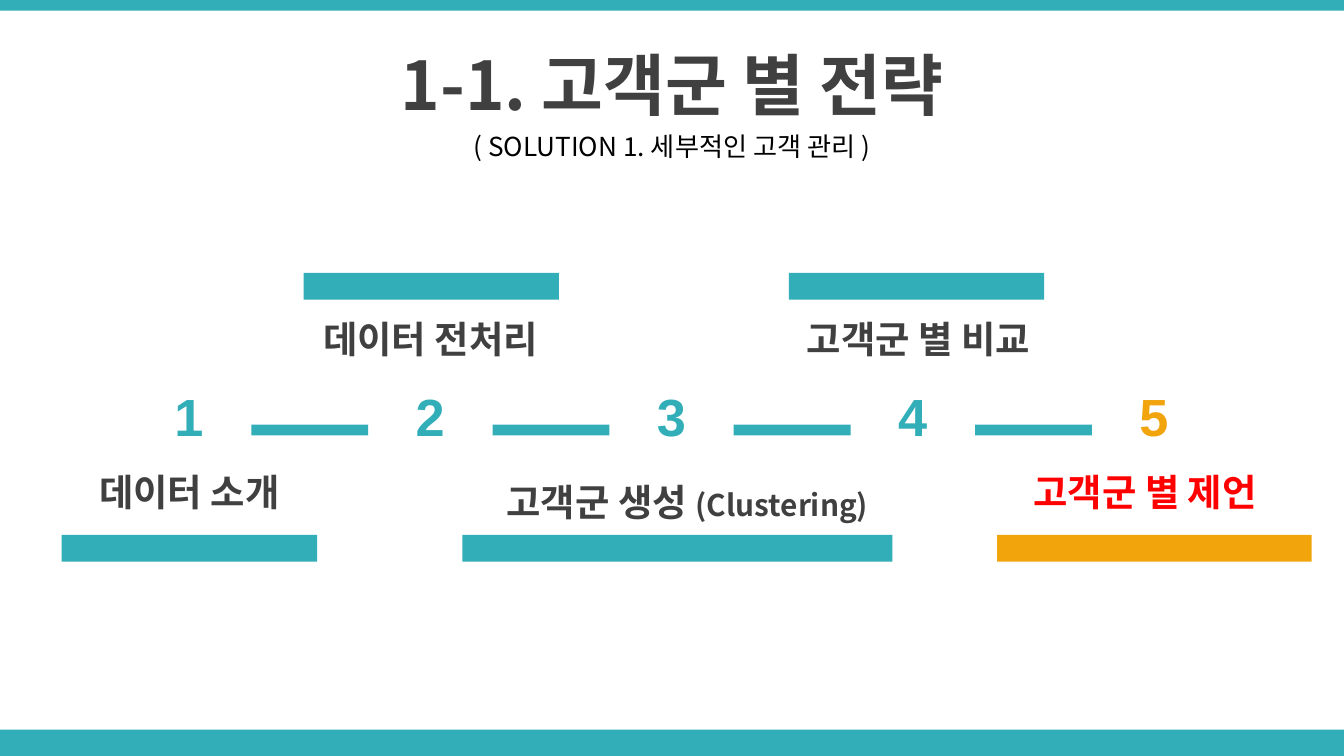
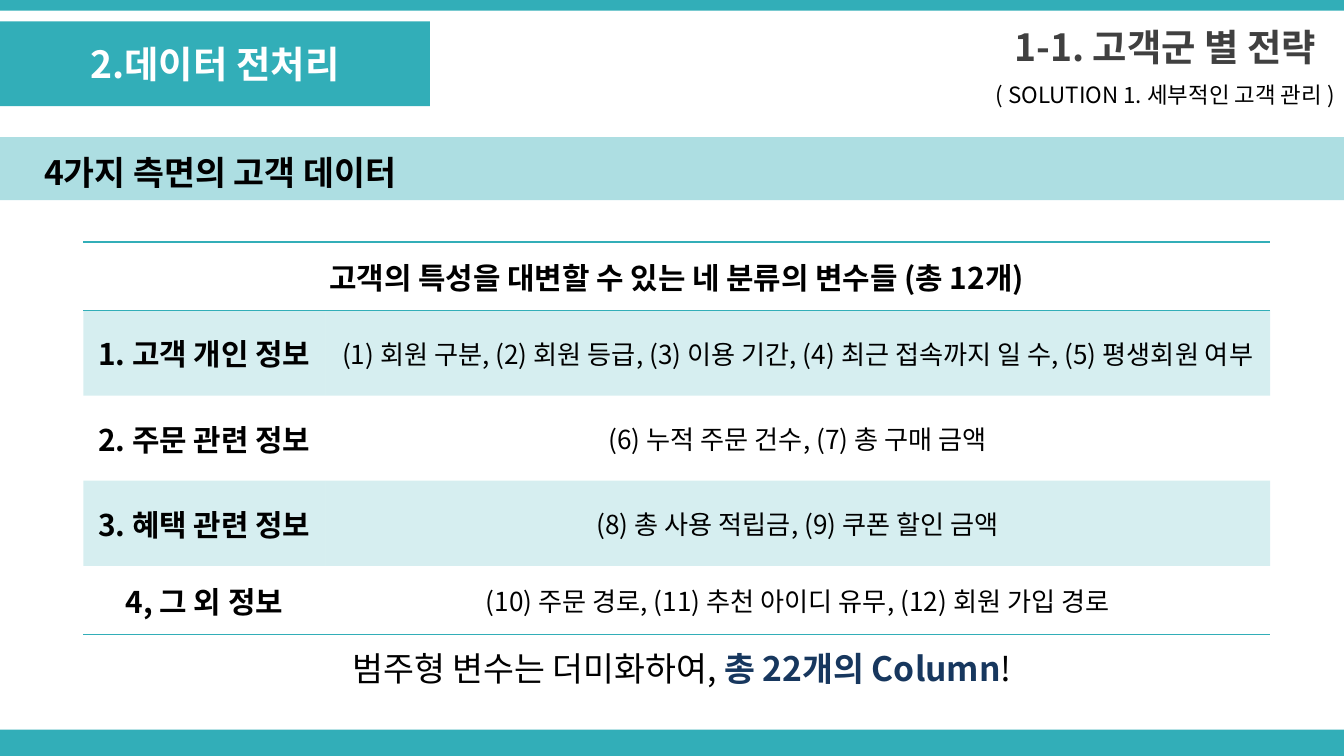
"""Builds two slides on customer group strategy: the step overview and the data variables."""
from lxml import etree
from pptx import Presentation, util as u
from pptx.dml.color import RGBColor
from pptx.enum import shapes, text
from pptx.oxml.ns import qn

HUES = dict(teal="32AEB8", gold="F2A40D", dark="404040", black="000000",
            white="FFFFFF", red="FF0000", navy="17375E")
KOREAN, LATIN = "Noto Sans CJK KR", "Arial"
WIDE = 10
HIGH = WIDE * 9 / 16
BARE = "{2D5ABB26-0587-4C30-8999-92F81FD0307C}"
MID, TOP = text.MSO_ANCHOR.MIDDLE, text.MSO_ANCHOR.TOP
LEFT, MIDST = text.PP_ALIGN.LEFT, text.PP_ALIGN.CENTER

TITLE = "1-1. 고객군 별 전략"
SUB = "( SOLUTION 1. 세부적인 고객 관리 )"

# label runs, label (left, top, width), bar (left, top, width), label hue, bar hue
STEPS = [
    (["데이터 소개"], (0.46, 3.44, 1.9), (0.46, 3.98, 1.9), "dark", "teal"),
    (["데이터 전처리"], (2.11, 2.3, 2.19), (2.26, 2.03, 1.9), "dark", "teal"),
    (["고객군 생성 ", ("(Clustering)", dict(size=16))],
     (3.2, 3.52, 3.83), (3.44, 3.98, 3.2), "dark", "teal"),
    (["고객군 별 비교"], (5.7, 2.3, 2.27), (5.87, 2.03, 1.9), "dark", "teal"),
    (["고객군 별 제언"], (7.27, 3.44, 2.5), (7.42, 3.98, 2.34), "red", "gold"),
]
PITCH = 1.795

PART = "2.데이터 전처리"
TOPIC = "4가지 측면의 고객 데이터"
HEAD = "고객의 특성을 대변할 수 있는 네 분류의 변수들 (총 12개)"
ROWS = [
    ("1. 고객 개인 정보",
     "(1) 회원 구분, (2) 회원 등급, (3) 이용 기간, (4) 최근 접속까지 일 수, (5) 평생회원 여부"),
    ("2. 주문 관련 정보", "(6) 누적 주문 건수, (7) 총 구매 금액"),
    ("3. 혜택 관련 정보", "(8) 총 사용 적립금, (9) 쿠폰 할인 금액"),
    ("4, 그 외 정보", "(10) 주문 경로, (11) 추천 아이디 유무, (12) 회원 가입 경로"),
]
COLS, TALLS = (1.8, 7.03), (0.51, 0.63, 0.51, 0.51, 0.51)
CLOSE = ["범주형 변수는 더미화하여, ",
         ("총 22개의 Column", dict(hue="navy", bold=True)), "!"]


def inch(*nums):
    """Turn numbers into inch lengths."""
    return [u.Inches(n) for n in nums]


def style(font, size=None, hue=None, bold=None, face=None):
    """Set the given traits on a font, without pair kerning."""
    if size:
        font.size = u.Pt(size)
    if bold is not None:
        font.bold = bold
    if hue:
        font.color.rgb = RGBColor.from_string(HUES[hue])
    if face:
        font.name = face
        font._rPr.set("kern", "0")
        etree.SubElement(font._rPr, qn("a:ea"), typeface=face)


def write(frame, runs, size, hue="black", bold=False, face=KOREAN, align=MIDST):
    """Fill a text frame with one paragraph of runs."""
    para = frame.paragraphs[0]
    para.alignment = align
    style(para.font, size, hue, bold, face)
    for part in [runs] if isinstance(runs, str) else runs:
        words, traits = (part, {}) if isinstance(part, str) else part
        run = para.add_run()
        run.text = words
        style(run.font, **traits)


def label(home, box, runs, size, anchor=TOP, **traits):
    """Add a text box; those anchored at the top grow with their text."""
    frame = home.add_textbox(*inch(*box)).text_frame
    frame.word_wrap = True
    frame.vertical_anchor = anchor
    frame.auto_size = (text.MSO_AUTO_SIZE.SHAPE_TO_FIT_TEXT if anchor == TOP
                       else text.MSO_AUTO_SIZE.NONE)
    write(frame, runs, size, **traits)


def paint(fill, node, hue, alpha=None):
    """Apply a solid fill, with alpha in percent if given."""
    fill.solid()
    fill.fore_color.rgb = RGBColor.from_string(HUES[hue])
    if alpha:
        tone = [*node.iter(qn("a:srgbClr"))][-1]
        etree.SubElement(tone, qn("a:alpha"), val=str(alpha * 1000))


def bar(home, box, hue="teal", alpha=None):
    """Add a plain filled rectangle."""
    rect = home.add_shape(shapes.MSO_SHAPE.RECTANGLE, *inch(*box))
    rect.shadow.inherit = False
    rect.line.fill.background()
    paint(rect.fill, rect.element.spPr, hue, alpha)
    return rect


def rule(cell, side):
    """Draw a thin border on one side of a cell."""
    line = etree.SubElement(cell._tc.get_or_add_tcPr(), qn("a:" + side), w="12700")
    fill = etree.SubElement(line, qn("a:solidFill"))
    etree.SubElement(fill, qn("a:srgbClr"), val=HUES["teal"])


def start(deck, box, size, drop, note):
    """Add a slide with its title and subtitle."""
    slide = deck.slides.add_slide(deck.slide_layouts[5])
    head = slide.shapes.title
    head.left, head.top, head.width, head.height = inch(*box)
    frame = head.text_frame
    frame.word_wrap = True
    frame.auto_size = text.MSO_AUTO_SIZE.NONE
    frame.vertical_anchor = MID
    write(frame, TITLE, size, "dark", True)
    label(slide.shapes, (box[0], drop, box[2], 0.31), SUB, note, MID)
    return slide.shapes


def flow(deck):
    """Build the five-step overview."""
    home = start(deck, (0, 0.31, WIDE, 0.63), 36, 0.93, 14)
    for i, (runs, tag, strip, hue, tone) in enumerate(STEPS):
        label(home, (0.9 + i * PITCH, 2.81, 1.01, 0.57), str(i + 1), 28,
              hue=tone, bold=True, face=LATIN)
        if i:
            bar(home, (1.87 + (i - 1) * PITCH, 3.16, 0.87, 0.08))
        group = home.add_group_shape().shapes
        label(group, (*tag, 0.44), runs, 20, hue=hue, bold=True)
        bar(group, (*strip, 0.2), tone)


def grid(home):
    """Build the table of variables."""
    table = home.add_table(len(TALLS), len(COLS),
                           *inch(0.62, 1.8, sum(COLS), sum(TALLS))).table
    table.first_row = table.horz_banding = False
    table._tbl.tblPr.find(qn("a:tableStyleId")).text = BARE
    for col, wide in zip(table.columns, COLS):
        col.width = u.Inches(wide)
    for row, tall in zip(table.rows, TALLS):
        row.height = u.Inches(tall)
    table.cell(0, 0).merge(table.cell(0, 1))
    for r, row in enumerate([(HEAD, ""), *ROWS]):
        for c, words in enumerate(row):
            cell = table.cell(r, c)
            cell.vertical_anchor = MID
            if words:
                write(cell.text_frame, words, 14 if c else 16, bold=c == 0)
            if r == 0:
                rule(cell, "lnT")
            if r in (0, len(ROWS)):
                rule(cell, "lnB")
            if r % 2:
                paint(cell.fill, cell._tc.tcPr, "teal", 20)
            else:
                cell.fill.background()


def data(deck):
    """Build the slide on customer variables."""
    home = start(deck, (7.03, 0.14, 3.28, 0.41), 20, 0.55, 12)
    bar(home, (0, 1.02, WIDE, 0.47), alpha=40)
    badge = bar(home, (0, 0.16, 3.2, 0.63)).text_frame
    badge.vertical_anchor = MID
    write(badge, PART, 20, "white", True)
    label(home, (0.23, 1.08, 4.92, 0.4), TOPIC, 18, bold=True, align=LEFT)
    grid(home)
    label(home, (0.78, 4.77, 8.59, 0.4), CLOSE, 18)


def main():
    """Build the deck, with its bands on the master."""
    deck = Presentation()
    deck.slide_width, deck.slide_height = inch(WIDE, HIGH)
    flow(deck)
    data(deck)
    for box in ((0, 5.43, WIDE, 0.2), (0, 0, WIDE, 0.08)):
        band = bar(deck.slides[0].shapes, box)
        deck.slide_master.shapes.element.append(band.element)
    deck.save("out.pptx")


if __name__ == "__main__":
    main()
